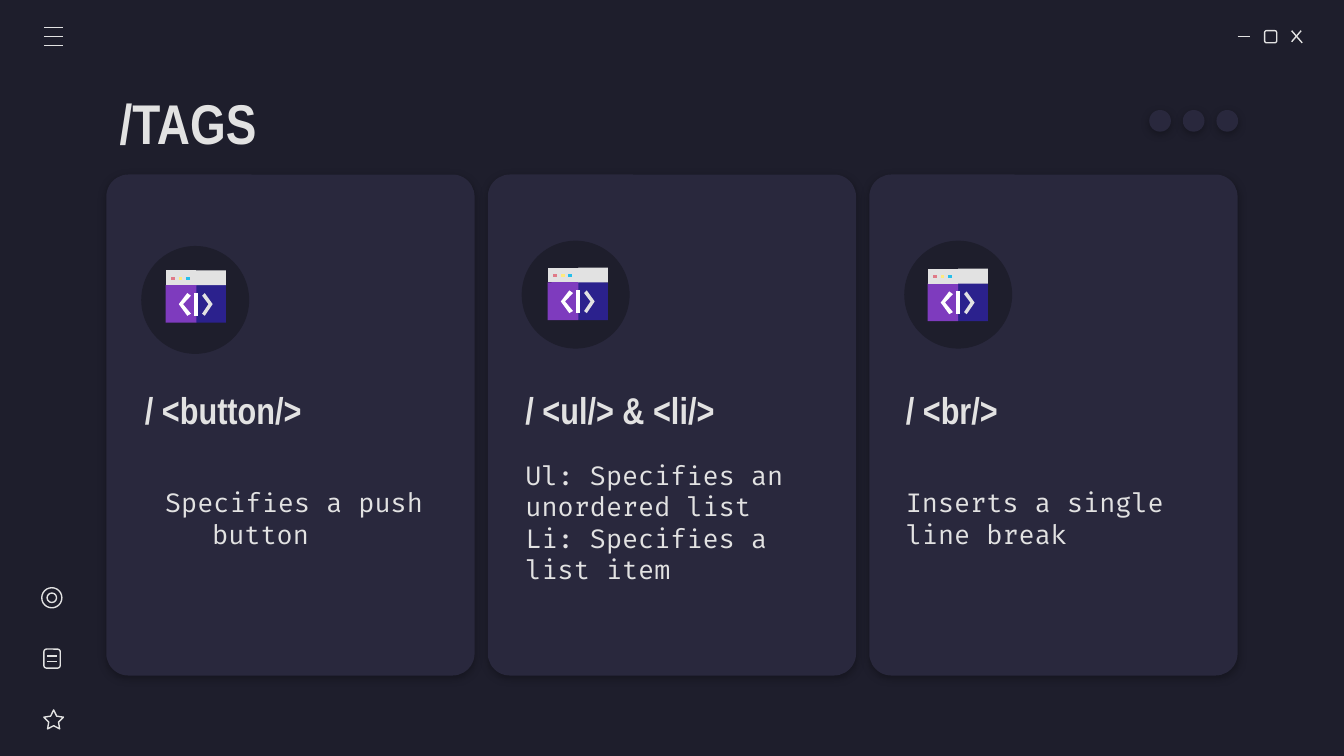
"""Build the /TAGS slide: three cards that explain HTML tags."""
from dataclasses import dataclass

from lxml import etree
from pptx import Presentation
from pptx.dml.color import RGBColor
from pptx.enum.shapes import MSO_CONNECTOR, MSO_SHAPE
from pptx.enum.text import MSO_ANCHOR, MSO_AUTO_SIZE, PP_ALIGN
from pptx.oxml import parse_xml
from pptx.oxml.ns import nsdecls, qn
from pptx.util import Cm, Pt

STRAIGHT = MSO_CONNECTOR.STRAIGHT
ROUNDED, OVAL, STAR = MSO_SHAPE.ROUNDED_RECTANGLE, MSO_SHAPE.OVAL, MSO_SHAPE.STAR_5_POINT
MIDDLE, LEFT, NO_AUTOFIT = MSO_ANCHOR.MIDDLE, PP_ALIGN.LEFT, MSO_AUTO_SIZE.NONE


@dataclass(frozen=True)
class Theme:
    background: str = "1E1E2C"
    card: str = "29283D"
    light: str = "E2E2E2"
    white: str = "FFFFFF"
    purple: str = "7E3BBE"
    indigo: str = "2B218D"
    dots: tuple = ("E07A88", "FFEA7D", "24BFEB")
    heading_font: str = "Arial Narrow"
    body_font: str = "Fira Code"
    title_size: int = 30
    heading_size: int = 20
    body_size: int = 14
    line_width: float = 0.75


theme = Theme()


def paint(shape, fill=None, raised=False):
    """Fill a shape, or outline it when no fill is given."""
    shape.shadow.inherit = False
    if fill:
        shape.fill.solid()
        shape.fill.fore_color.rgb = RGBColor.from_string(fill)
        shape.line.fill.background()
    else:
        shape.fill.background()
        shape.line.color.rgb = RGBColor.from_string(theme.light)
        shape.line.width = Pt(theme.line_width)
    if raised:
        shape.element.spPr.find(qn("a:effectLst")).append(parse_xml(
            f'<a:outerShdw {nsdecls("a")} blurRad="{Pt(4.5)}" dist="{Pt(1.5)}" dir="5400000"'
            ' algn="bl" rotWithShape="0"><a:srgbClr val="000000"><a:alpha val="30000"/>'
            '</a:srgbClr></a:outerShdw>'))


def write(shape, box, text, font, size, bold, margin=0, indent=0):
    """Place a text shape in front and set its formatted text."""
    shape.left, shape.top, shape.width, shape.height = [Cm(length) for length in box]
    shape.element.getparent().append(shape.element)
    frame = shape.text_frame
    frame.text = text
    frame.word_wrap = True
    frame.auto_size = NO_AUTOFIT
    frame.vertical_anchor = MIDDLE
    frame.margin_left = frame.margin_right = frame.margin_top = frame.margin_bottom = Cm(0.25)
    for paragraph in frame.paragraphs:
        paragraph.alignment = LEFT
        paragraph.space_before = Pt(0)
        properties = paragraph._p.get_or_add_pPr()
        properties.set("marL", str(Cm(margin)))
        properties.set("indent", str(Cm(indent)))
        etree.SubElement(properties, qn("a:buNone"))
        for run in paragraph.runs:
            run.font.name = font
            run.font.size = Pt(size)
            run.font.bold = bold
            run.font.color.rgb = RGBColor.from_string(theme.light)


presentation = Presentation()
presentation.slide_width, presentation.slide_height = Cm(25.4), Cm(14.29)
slide = presentation.slides.add_slide(presentation.slide_layouts.get_by_name("Comparison"))
slide.background.fill.solid()
slide.background.fill.fore_color.rgb = RGBColor.from_string(theme.background)
shapes = slide.shapes
title, *descriptions, spare = slide.placeholders
spare.element.getparent().remove(spare.element)

thin_lines = [(0.84, y, 1.19, y) for y in (0.52, 0.69, 0.86)]
thin_lines += [(0.89, y, 1.07, y) for y in (12.4, 12.5)]
thin_lines += [(23.39, 0.69, 23.62, 0.69), (24.41, 0.58, 24.61, 0.81), (24.59, 0.58, 24.41, 0.79)]
for ends in thin_lines:
    connector = shapes.add_connector(STRAIGHT, *[Cm(length) for length in ends])
    connector.line.color.rgb = RGBColor.from_string(theme.light)
    connector.line.width = Pt(theme.line_width)
    etree.SubElement(connector.element.spPr, qn("a:effectLst"))

outlines = [
    (ROUNDED, 23.9, 0.58, 0.23, 0.23),
    (OVAL, 0.79, 11.11, 0.38, 0.38),
    (OVAL, 0.89, 11.21, 0.18, 0.18),
    (ROUNDED, 0.83, 12.27, 0.31, 0.36),
    (STAR, 0.83, 13.42, 0.37, 0.36),
]
for kind, *box in outlines:
    outline = shapes.add_shape(kind, *[Cm(length) for length in box])
    paint(outline)
    if kind == STAR:
        outline.adjustments[0] = 0.25

for column in range(3):
    dot = shapes.add_shape(OVAL, Cm(21.72 + 0.635 * column), Cm(2.08), Cm(0.41), Cm(0.41))
    paint(dot, theme.card, raised=True)

window_parts = [
    (theme.indigo, [(0.53, 0.25), (0.58, 0.99), (1.14, 0.99), (1.14, 0.28)]),
    (theme.purple, [(0.58, 0.25), (0, 0.28), (0, 0.99), (0.58, 0.99)]),
    (theme.light, [(0.58, 0), (0.53, 0.14), (0.58, 0.28), (1.14, 0.28), (1.14, 0)]),
    (theme.light, [(0, 0), (0, 0.28), (0.58, 0.28), (0.58, 0)]),
    (theme.white, [(0.41, 0.43), (0.25, 0.64), (0.41, 0.86), (0.48, 0.82), (0.33, 0.64), (0.48, 0.48)]),
    (theme.light, [(0.74, 0.43), (0.69, 0.48), (0.81, 0.64), (0.69, 0.82), (0.74, 0.86), (0.89, 0.64)]),
    (theme.white, [(0.54, 0.43), (0.54, 0.86), (0.61, 0.86), (0.61, 0.43)]),
]
for column, color in enumerate(theme.dots):
    x = 0.11 + 0.14 * column
    window_parts.append((color, [(x, 0.12), (x, 0.18), (x + 0.07, 0.18), (x + 0.07, 0.12)]))

write(title, (2.01, 1.5, 12.62, 1.6), "/TAGS", theme.heading_font, theme.title_size, True)

cards = [
    ("/ <button/>", "Specifies a push button", 8.41, (2.67, 4.65), (3.13, 5.11), (1.27, -0.89)),
    ("/ <ul/> & <li/>", "Ul: Specifies an unordered list\nLi: Specifies a list item",
     8.48, (9.86, 4.55), (10.35, 5.06), (0, 0)),
    ("/ <br/>", "Inserts a single line break", 8.41, (17.09, 4.55), (17.53, 5.08), (0, 0)),
]
for column, (heading, description, text_top, disc_at, window_at, indents) in enumerate(cards):
    card = shapes.add_shape(ROUNDED, Cm(2.01 + 7.21 * column), Cm(3.3), Cm(6.96), Cm(9.47))
    card.adjustments[0] = 0.06
    paint(card, theme.card, raised=True)
    disc = shapes.add_shape(OVAL, Cm(disc_at[0]), Cm(disc_at[1]), Cm(2.04), Cm(2.04))
    paint(disc, theme.background)

    window = shapes.add_group_shape()
    for color, points in window_parts:
        corners = [(Cm(window_at[0] + x), Cm(window_at[1] + y)) for x, y in points]
        builder = window.shapes.build_freeform(*corners[0])
        builder.add_line_segments(corners[1:])
        paint(builder.convert_to_shape(), color)

    text_left = 2.49 + 7.19 * column
    heading_box = shapes.add_textbox(0, 0, 0, 0)
    write(heading_box, (text_left, 7.09, 6.05, 1.3), heading,
          theme.heading_font, theme.heading_size, True)
    write(descriptions[column], (text_left, text_top, 6.05, 2.77), description,
          theme.body_font, theme.body_size, False, *indents)

presentation.save("out.pptx")
